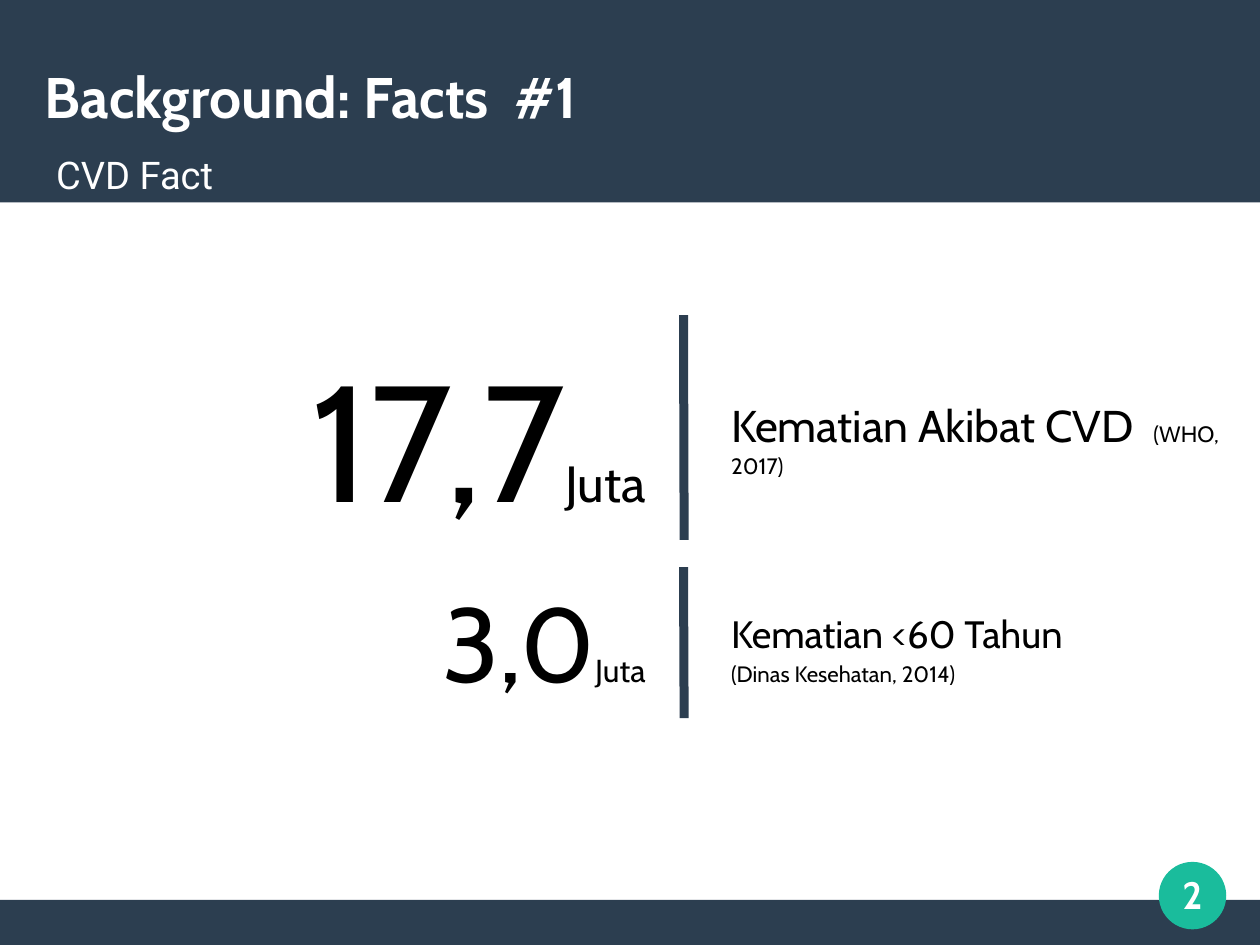
from lxml import etree
from pptx import Presentation
from pptx.enum import shapes, text
from pptx.oxml import ns
from pptx.util import Pt
from pptx.dml.color import RGBColor

HUES = {"navy": "2C3E50", "teal": "1ABC9C", "white": "FFFFFF", "black": "000000"}
WIDE, HIGH = 793.75, 595.25
LEFT, MID, TOP = text.PP_ALIGN.LEFT, text.MSO_ANCHOR.MIDDLE, text.MSO_ANCHOR.TOP


class Deck:
    def __init__(self):
        self.file = Presentation()
        self.file.slide_width, self.file.slide_height = Pt(WIDE), Pt(HIGH)
        self.page = self.file.slides.add_slide(self.file.slide_layouts[6])
        self.font = "Cabin"

    def hue(self, name):
        return RGBColor.from_string(HUES[name])

    def form(self, kind, box, fill):
        form = self.page.shapes.add_shape(kind, *map(Pt, box))
        form.shadow.inherit = False
        form.fill.solid()
        form.fill.fore_color.rgb = self.hue(fill)
        form.line.fill.background()

    def rule(self, start, end, width):
        rule = self.page.shapes.add_connector(
            shapes.MSO_CONNECTOR.STRAIGHT, *map(Pt, start + end))
        rule.line.color.rgb = self.hue("navy")
        rule.line.width = Pt(width)
        etree.SubElement(rule._element.spPr, ns.qn("a:effectLst"))

    def words(self, box, lines, hue="black", font=None, bold=False,
              align=LEFT, anchor=TOP, inset=(7.2, 3.6, 7.2, 3.6)):
        """Each line is (spacing, [(words, size), ...])."""
        frame = self.page.shapes.add_textbox(*map(Pt, box)).text_frame
        frame.word_wrap = True
        frame.vertical_anchor = anchor
        (frame.margin_left, frame.margin_top,
         frame.margin_right, frame.margin_bottom) = map(Pt, inset)
        for i, (space, runs) in enumerate(lines):
            para = frame.add_paragraph() if i else frame.paragraphs[0]
            para.alignment = align
            para.line_spacing = space
            for words, size in runs:
                run = para.add_run()
                run.text = words
                run.font.name = font or self.font
                run.font.size = Pt(size)
                run.font.bold = bold
                run.font.color.rgb = self.hue(hue)

    def fact(self, figure, label, bar):
        box, pad, runs = figure
        self.words(box, [(0.98, runs)], align=text.PP_ALIGN.RIGHT,
                   inset=(7.2, pad, 7.2, 3.6))
        self.words(*label)
        top, end = bar
        self.rule((430.6, top), (431, end), 5.67)


def main():
    deck = Deck()
    rect, oval = shapes.MSO_SHAPE.RECTANGLE, shapes.MSO_SHAPE.OVAL

    # Bands and page badge
    deck.form(rect, (0, 566.9, WIDE, HIGH - 566.9), "navy")
    deck.form(rect, (0, 0, WIDE, 127.5), "navy")
    deck.form(oval, (730, 542.9, 42.5, 42.5), "teal")
    deck.words((722.9, 535.8, 56.7, 56.7), [(0.98, [("2", 24)])], "white",
               bold=True, align=text.PP_ALIGN.CENTER, anchor=MID,
               inset=(0, 0, 0, 0))

    # Heading
    deck.words((28.3, 23.7, 737, 75.6), [(0.98, [("Background: Facts  #1", 36)])],
               "white", bold=True, anchor=MID, inset=(0, 0.9, 0, 0))
    deck.words((28.3, 85.7, 283.5, 41.8), [(1.22, [("CVD Fact", 24)])],
               "white", font="Roboto")

    # Facts: figure, label, divider
    deck.fact(
        ((59.5, 212.6, 354.3, 127.6), 5.9, [("17,7", 104), ("Juta", 32)]),
        ((453.5, 249.1, 326, 77),
         [(0.98, [("Kematian Akibat CVD  ", 28), ("(WHO, 2017)", 14)])]),
        (198.5, 340.1))
    deck.fact(
        ((59.5, 362.9, 354.3, 84.2), 4.9, [("3,0", 66), ("Juta", 20)]),
        ((453.5, 382.3, 326, 54),
         [(0.98, [("Kematian <60 Tahun", 24)]),
          (1.12, [("(Dinas Kesehatan, 2014)", 14)])]),
        (357.2, 452.3))

    deck.file.save("out.pptx")


if __name__ == "__main__":
    main()
